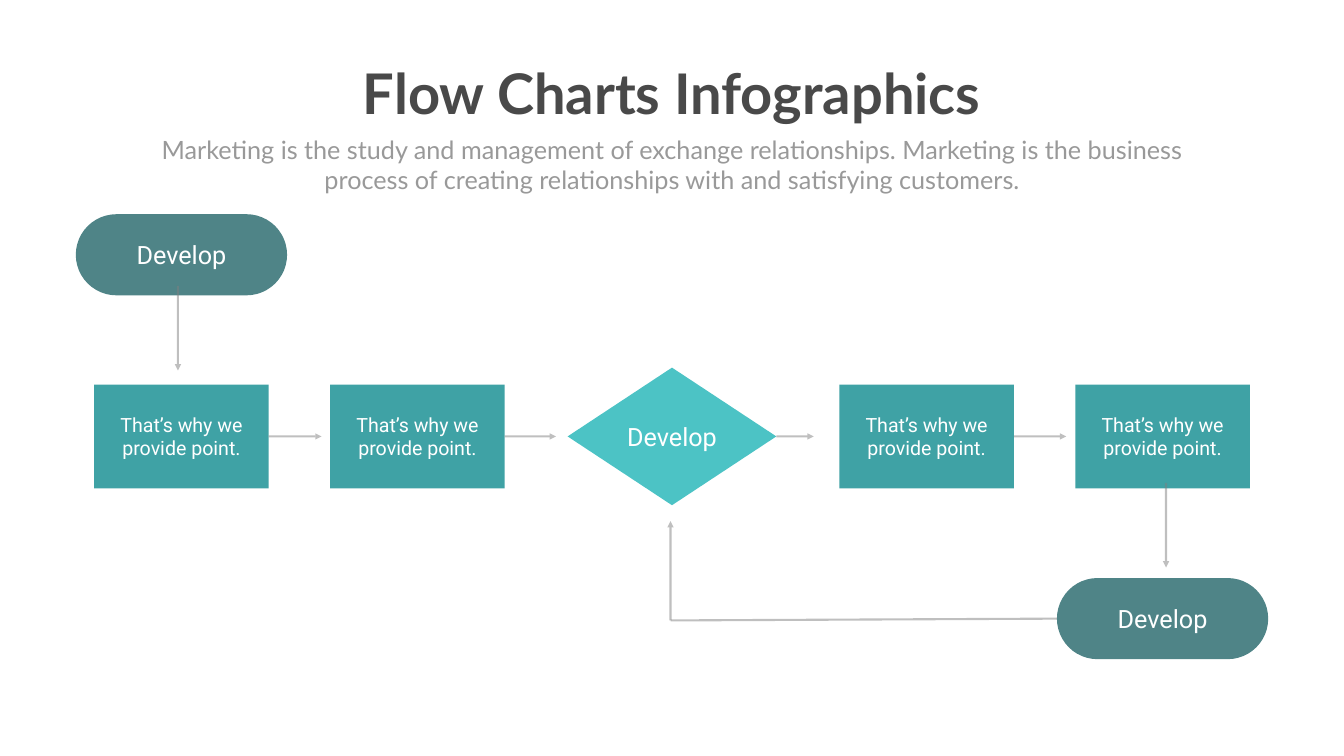
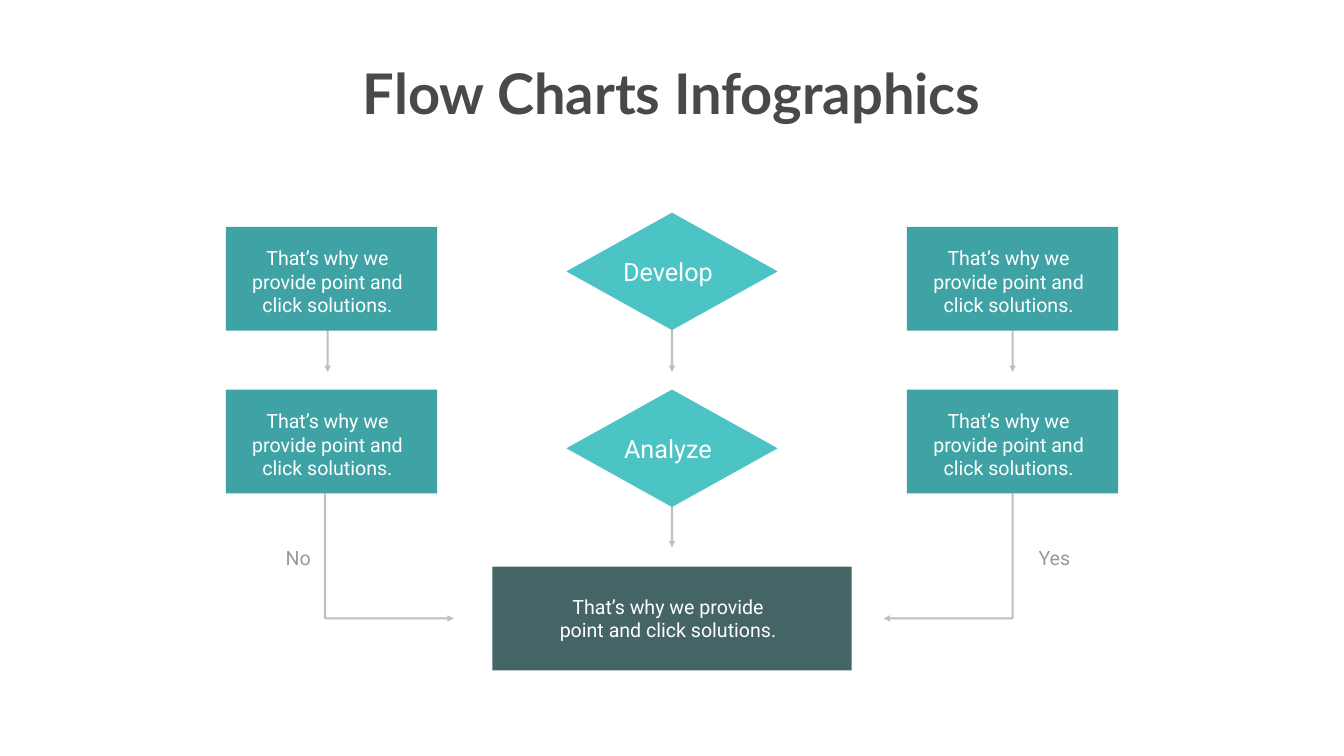
"""Builds two flow chart slides on a grid of 100 columns by 100 rows."""
from lxml import etree
from pptx import Presentation
from pptx.dml.color import RGBColor
from pptx.enum.shapes import MSO_CONNECTOR, MSO_SHAPE
from pptx.enum.text import MSO_AUTO_SIZE, PP_ALIGN
from pptx.oxml.ns import qn
from pptx.util import Inches, Pt

RECT, DIAMOND, PILL = MSO_SHAPE.RECTANGLE, MSO_SHAPE.DIAMOND, MSO_SHAPE.ROUNDED_RECTANGLE
STRAIGHT = MSO_CONNECTOR.STRAIGHT
CENTER = PP_ALIGN.CENTER
GROW = MSO_AUTO_SIZE.SHAPE_TO_FIT_TEXT
BOTTOM, LEFT, RIGHT = 2, 1, 3

deck = Presentation()
deck.slide_width, deck.slide_height = Inches(26.66), Inches(15)
COL, ROW = deck.slide_width / 100, deck.slide_height / 100

WHITE, DARK, GRAY, LINE = "FFFFFF", "494949", "999999", "808080"
TEAL, AQUA, PINE, SLATE = "3FA2A5", "4CC3C5", "4F8487", "456466"

# kind: shape, fill, width, height, text size, text width, text height, text shift
KINDS = {
    "step": (RECT, TEAL, 12.98, 13.73, 28, 11.03, 6.93, 0, 0),
    "choice": (DIAMOND, AQUA, 15.53, 18.2, 36, 13.13, 4.73, 0, 0),
    "end": (PILL, PINE, 15.72, 10.73, 36, 12.75, 4.73, 0, 0),
    "card": (RECT, TEAL, 15.72, 13.73, 28, 13.77, 10.07, -0.3, 0.4),
    "fork": (DIAMOND, AQUA, 15.72, 15.53, 36, 12.75, 4.73, -0.3, 0.07),
    "goal": (RECT, SLATE, 26.74, 13.73, 28, 18.45, 6.93, -0.3, 0),
}


def paint(fill, color):
    fill.solid()
    fill.fore_color.rgb = RGBColor.from_string(color)


def write(slide, words, x, y, w, h, size=28, font="Roboto", color=WHITE, bold=False, wrap=True):
    box = slide.shapes.add_textbox(
        round((x - w / 2) * COL), round((y - h / 2) * ROW), round(w * COL), round(h * ROW))
    frame = box.text_frame
    frame.word_wrap, frame.auto_size = wrap, GROW
    para = frame.paragraphs[0]
    para.alignment = CENTER
    run = para.add_run()
    run.text = words
    run.font.size, run.font.name, run.font.bold = Pt(size), font, bold
    paint(run.font.fill, color)


SHORT = "That’s why we provide point."
LONG = "That’s why we provide point and click solutions."
MID, FOOT = 57.73, 81.8
WEST, EAST = 24.66, 75.34

flow = [("step", x, MID, SHORT) for x in (13.5, 31.06, 68.94, 86.5)]
flow += [("choice", 50, MID, "Develop"), ("end", 13.5, 33.7, "Develop"),
         ("end", 86.5, 81.83, "Develop")]
tree = [("card", x, y, LONG) for y in (36.87, 58.4) for x in (WEST, EAST)]
tree += [("fork", 50, 35.9, "Develop"), ("fork", 50, 59.3, "Analyze"),
         ("goal", 50, FOOT, LONG)]

# start, end, arrow, joined node and side
flow_links = [
    ((19.99, MID), (23.93, MID), True, (0, RIGHT)),
    ((37.55, MID), (41.37, MID), True, (1, RIGHT)),
    ((57.77, MID), (60.54, MID), True, (4, RIGHT)),
    ((75.43, MID), (79.33, MID), True, (2, RIGHT)),
    ((13.24, 37.8), (13.24, 49), True, None),
    ((86.76, 63.87), (86.76, 75.07), True, None),
    ((78.64, 81.83), (49.89, 82.07), False, (6, LEFT)),
    ((49.89, 82.07), (49.89, 68.93), True, None),
]
tree_links = [
    ((24.38, 43.67), (24.38, 49.2), True, None),
    ((50, 43.67), (50, 49.2), True, (4, BOTTOM)),
    ((EAST, 43.67), (EAST, 49.2), True, (1, BOTTOM)),
    ((50, 67.07), (50, 72.4), True, (5, BOTTOM)),
    ((24.18, 65.27), (24.18, FOOT), False, None),
    ((24.18, FOOT), (33.76, FOOT), True, None),
    ((EAST, 65.27), (EAST, FOOT), False, (3, BOTTOM)),
    ((EAST, FOOT), (65.75, FOOT), True, None),
]

pages = []
for nodes, links in ((flow, flow_links), (tree, tree_links)):
    slide = deck.slides.add_slide(deck.slide_layouts[6])
    pages.append(slide)
    made = []
    for kind, x, y, words in nodes:
        form, color, w, h, size, wide, high, dx, dy = KINDS[kind]
        shape = slide.shapes.add_shape(
            form, round((x - w / 2) * COL), round((y - h / 2) * ROW),
            round(w * COL), round(h * ROW))
        if form == PILL:
            shape.adjustments[0] = 0.5
        shape.shadow.inherit = False
        paint(shape.fill, color)
        shape.line.fill.background()
        made.append(shape)
        write(slide, words, x + dx, y + dy, wide, high, size=size)
    for (x1, y1), (x2, y2), arrow, joint in links:
        link = slide.shapes.add_connector(
            STRAIGHT, round(x1 * COL), round(y1 * ROW), round(x2 * COL), round(y2 * ROW))
        if joint:
            link.begin_connect(made[joint[0]], joint[1])
        link.line.width = Pt(3)
        paint(link.line.fill, LINE)
        props = link._element.spPr
        tint = props.find(".//" + qn("a:srgbClr"))
        etree.SubElement(tint, qn("a:alpha"), val="50000")
        if arrow:
            etree.SubElement(props.find(qn("a:ln")), qn("a:tailEnd"), type="triangle")
        etree.SubElement(props, qn("a:effectLst"))
    write(slide, "Flow Charts Infographics", 50, 12.3, 47.64, 9.67,
          size=80, font="Lato", color=DARK, bold=True, wrap=False)

write(pages[0], "Marketing is the study and management of exchange relationships. "
      "Marketing is the business process of creating relationships with and "
      "satisfying customers.", 50, 21.77, 78.1, 8.73, size=36, font="Lato", color=GRAY)
for words, x in (("No", 22.19), ("Yes", 78.45)):
    write(pages[1], words, x, 73.77, 3.94, 3.8, color=GRAY)

deck.save("out.pptx")
